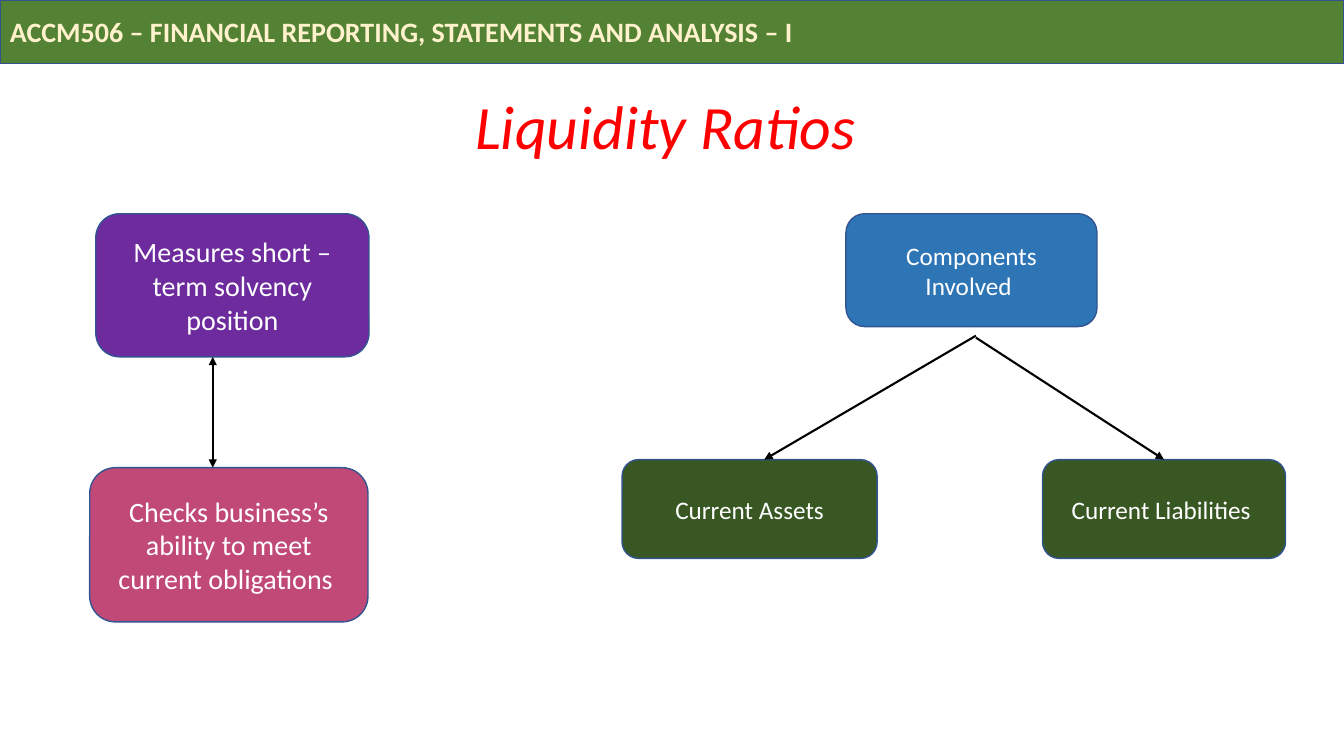
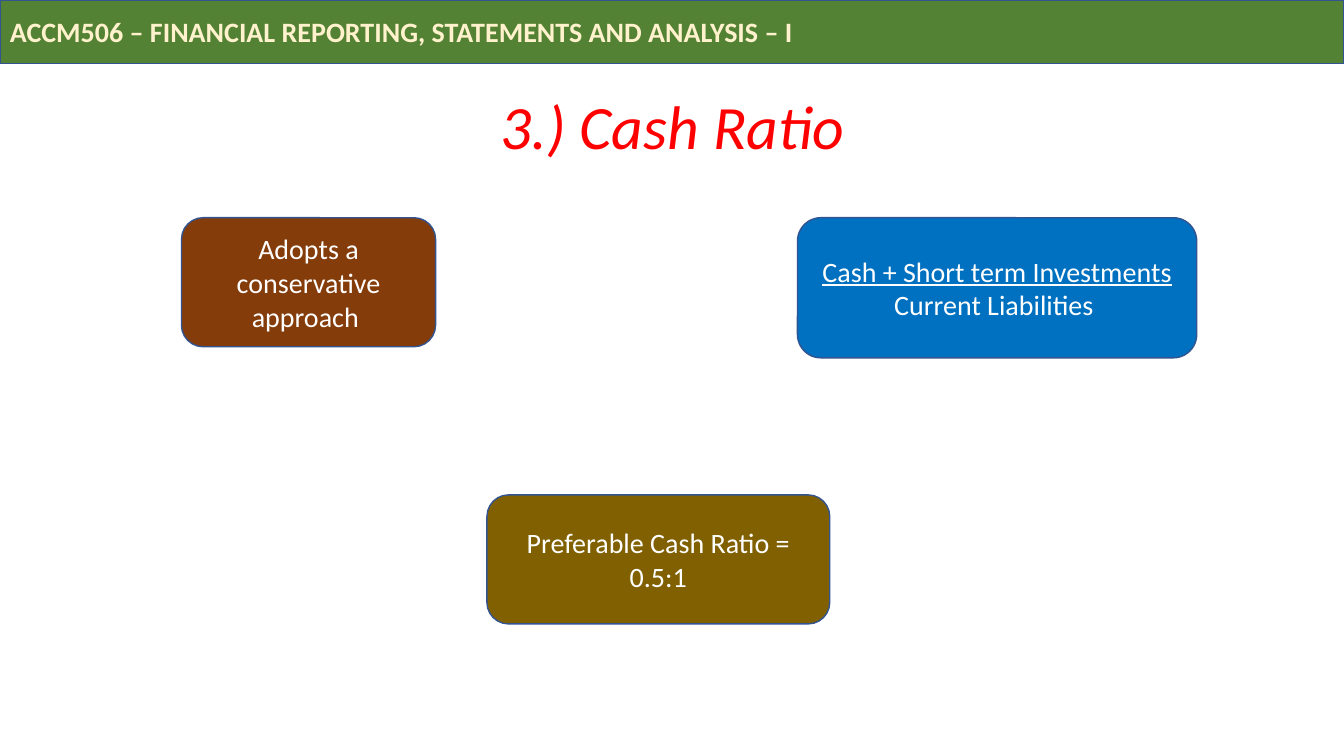
from dataclasses import dataclass

from pptx import Presentation
from pptx.dml.color import RGBColor
from pptx.enum.shapes import MSO_CONNECTOR as Connector, MSO_SHAPE as Shape
from pptx.enum.text import MSO_ANCHOR as Anchor, PP_ALIGN as Align
from pptx.oxml.ns import qn
from pptx.util import Inches, Pt
from lxml import etree


@dataclass(frozen=True)
class Theme:
    font: str = "Calibri"
    band: str = "548235"
    band_text: str = "FFF2CC"
    title: str = "FF0000"
    outline: str = "325491"
    box_text: str = "FFFFFF"
    arrow: str = "000000"
    purple: str = "6D2B9E"
    pink: str = "C14978"
    blue: str = "2E75B6"
    green: str = "385723"
    brown: str = "843C0B"
    bright_blue: str = "0070C0"
    olive: str = "806000"
    title_size: int = 44
    body_size: int = 20
    small_size: int = 18


theme = Theme()


def write_lines(shape, lines, color, align=Align.CENTER, **formats):
    """Write one paragraph per (text, extra font formats) pair."""
    frame = shape.text_frame
    frame.word_wrap = True
    frame.vertical_anchor = Anchor.MIDDLE
    for index, (text, extra) in enumerate(lines):
        para = frame.add_paragraph() if index else frame.paragraphs[0]
        para.alignment = align
        span = para.add_run()
        span.text = text
        span.font.color.rgb = RGBColor.from_string(color)
        for name, value in {"name": theme.font, **formats, **extra}.items():
            setattr(span.font, name, value)


def add_filled(page, kind, place, fill):
    """Add an outlined preset shape at (left, top, width, height)."""
    shape = page.shapes.add_shape(kind, *map(Inches, place))
    shape.shadow.inherit = False
    shape.fill.solid()
    shape.fill.fore_color.rgb = RGBColor.from_string(fill)
    shape.line.color.rgb = RGBColor.from_string(theme.outline)
    shape.line.width = Pt(1)
    return shape


# Content: boxes are (place, fill, size, lines);
# arrows are (from, to, arrowhead ends, index of the box joined at its top)
slides = [
    {
        "title": "Liquidity Ratios ",
        "boxes": [
            ((0.95, 2.12, 2.71, 1.42), theme.purple, theme.body_size,
             [("Measures short – term solvency position", {})]),
            ((0.89, 4.64, 2.76, 1.53), theme.pink, theme.body_size,
             [("Checks business’s ability to meet current obligations ", {})]),
            ((8.39, 2.12, 2.49, 1.12), theme.blue, theme.small_size,
             [("Components Involved ", {})]),
            ((6.17, 4.56, 2.53, 0.98), theme.green, theme.small_size,
             [("Current Assets", {})]),
            ((10.34, 4.56, 2.41, 0.98), theme.green, theme.small_size,
             [("Current Liabilities ", {})]),
        ],
        "arrows": [
            ((9.68, 3.33), (7.58, 4.56), ["tailEnd"], None),
            ((9.68, 3.35), (11.55, 4.56), ["tailEnd"], 4),
            ((2.11, 3.54), (2.11, 4.64), ["headEnd", "tailEnd"], None),
        ],
    },
    {
        "title": "3.) Cash Ratio",
        "boxes": [
            ((1.8, 2.16, 2.52, 1.28), theme.brown, theme.body_size,
             [("Adopts a conservative approach ", {})]),
            ((7.91, 2.16, 3.96, 1.39), theme.bright_blue, theme.body_size,
             [("Cash + Short term Investments", {"underline": True}),
              ("Current Liabilities ", {})]),
            ((4.83, 4.91, 3.4, 1.28), theme.olive, theme.body_size,
             [("Preferable Cash Ratio = 0.5:1", {})]),
        ],
        "arrows": [],
    },
]

deck = Presentation()
deck.slide_width, deck.slide_height = Inches(13.33), Inches(7.5)
blank = deck.slide_layouts[6]

for content in slides:
    page = deck.slides.add_slide(blank)

    # Course band
    band = add_filled(page, Shape.RECTANGLE, (0, 0, 13.33, 0.63), theme.band)
    course = "ACCM506 – FINANCIAL REPORTING, STATEMENTS AND ANALYSIS – I"
    write_lines(band, [(course, {})], theme.band_text, Align.LEFT,
                size=Pt(theme.body_size), bold=True)

    # Title
    title = page.shapes.add_textbox(*map(Inches, (0.92, 0.74, 11.5, 1.1)))
    write_lines(title, [(content["title"], {})], theme.title,
                size=Pt(theme.title_size), italic=True)
    title.text_frame.paragraphs[0].line_spacing = 0.9

    # Rounded boxes
    boxes = []
    for place, fill, size, lines in content["boxes"]:
        box = add_filled(page, Shape.ROUNDED_RECTANGLE, place, fill)
        write_lines(box, lines, theme.box_text, size=Pt(size))
        boxes.append(box)

    # Arrows
    for start, end, heads, target in content["arrows"]:
        arrow = page.shapes.add_connector(
            Connector.STRAIGHT, *map(Inches, start + end))
        if target is not None:
            arrow.end_connect(boxes[target], 0)
        arrow.line.color.rgb = RGBColor.from_string(theme.arrow)
        arrow.line.width = Pt(1.5)
        outline = arrow.line._get_or_add_ln()
        for head in heads:
            etree.SubElement(outline, qn(f"a:{head}"), type="triangle")
        etree.SubElement(arrow._element.spPr, qn("a:effectLst"))

deck.save("out.pptx")
